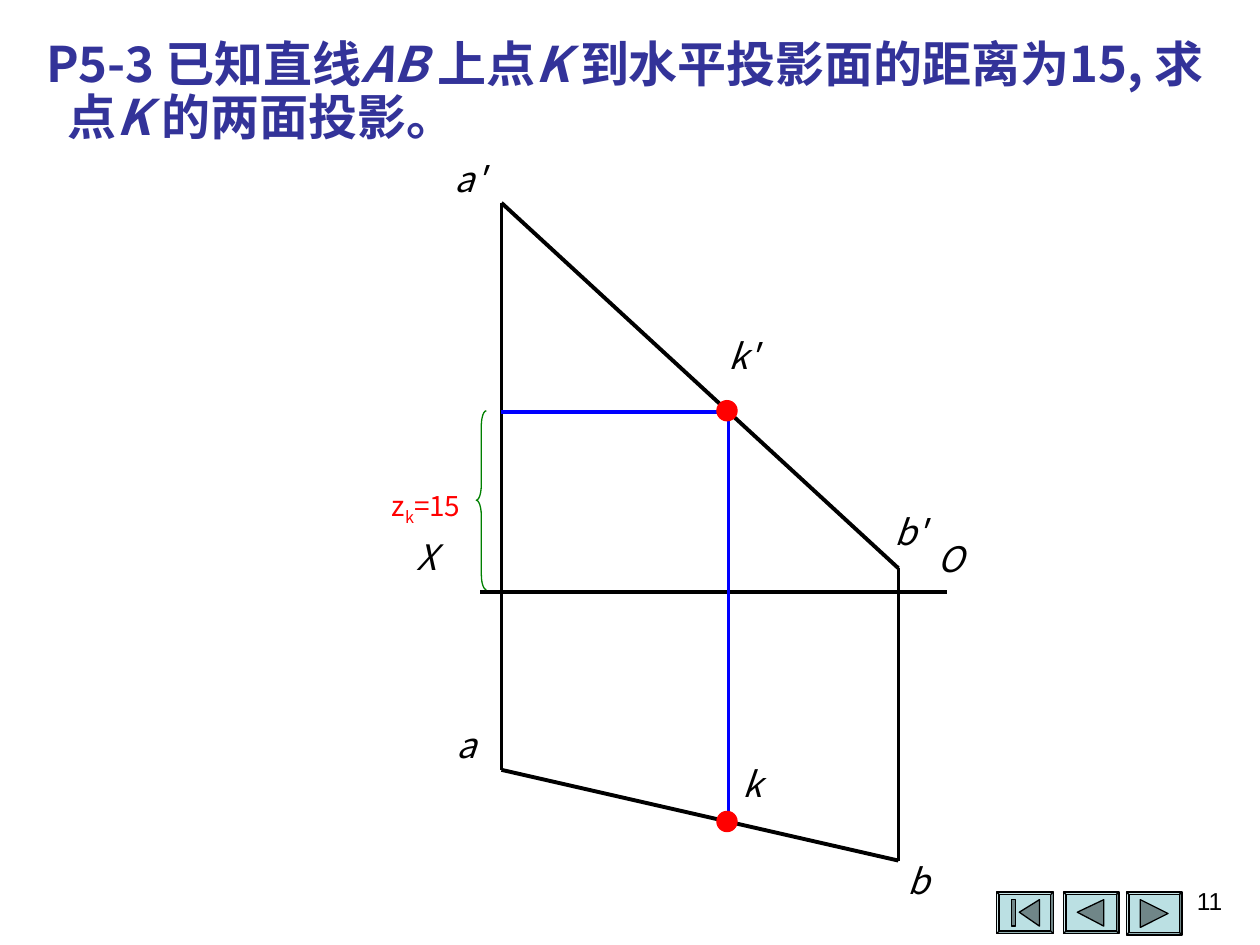
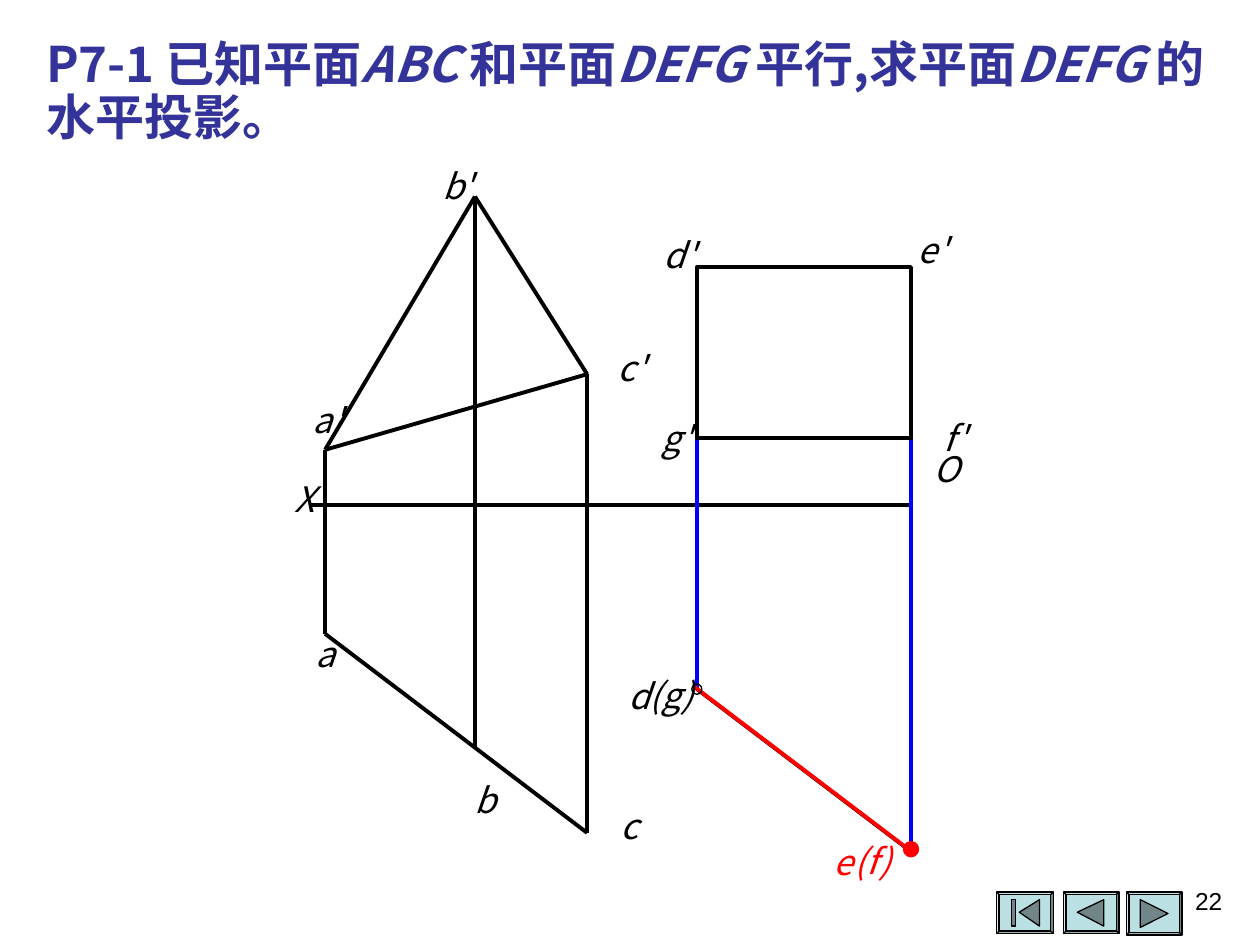
from dataclasses import dataclass

from lxml import etree
from pptx import Presentation
from pptx.dml.color import RGBColor
from pptx.enum.shapes import MSO_CONNECTOR, MSO_SHAPE as Shape
from pptx.enum.text import MSO_AUTO_SIZE as AutoSize, PP_ALIGN as Align
from pptx.oxml.ns import qn
from pptx.util import Inches, Pt

BLACK, RED, BLUE, GREEN = "000000", "FF0000", "0000FF", "008000"
TITLE_COLOR, BUTTON_FACE, BUTTON_ICON = "333399", "BBE0E3", "708688"
FONT, NUMBER_FONT = "Noto Sans CJK SC", "Arial"
HAIRLINE, BOLD_LINE = 0, 2.25
Point = tuple[float, float]


@dataclass(frozen=True)
class NavButton:
    """A navigation button and the outlines of its icon."""
    left: float
    width: float
    height: float
    icon: tuple[tuple[Point, ...], ...]


@dataclass(frozen=True)
class Segment:
    """A straight line of the drawing."""
    start: Point
    end: Point
    color: str = BLACK
    width: float = HAIRLINE


@dataclass(frozen=True)
class Label:
    """The letter of a projected point."""
    text: str
    left: float
    top: float
    width: float = 0.34
    color: str = BLACK


@dataclass(frozen=True)
class Dot:
    """A round mark on a projected point."""
    center: Point
    size: float
    color: str = RED
    filled: bool = True


@dataclass(frozen=True)
class Exercise:
    """One exercise: title, page number and drawing."""
    title: str
    page: str
    segments: tuple[Segment, ...]
    labels: tuple[Label, ...]
    dots: tuple[Dot, ...]
    label_align: Align
    title_hang: float = 0


BUTTONS = (
    NavButton(8.94, 0.44, 0.34, (((9.05, 7.14), (9.27, 7.25), (9.05, 7.36)),)),
    NavButton(8.44, 0.44, 0.33, (((8.55, 7.24), (8.76, 7.14), (8.76, 7.35)),)),
    NavButton(7.91, 0.45, 0.33, (
        ((8.09, 7.24), (8.25, 7.14), (8.25, 7.35)),
        ((8.03, 7.14), (8.06, 7.14), (8.06, 7.35), (8.03, 7.35)),
    )),
)


def rgb(color: str) -> RGBColor:
    """Turn a hex string into a colour."""
    return RGBColor.from_string(color)


def style(shape, fill: str | None, line: str, width: float) -> None:
    """Set fill and outline and remove the shadow."""
    shape.shadow.inherit = False
    if fill:
        shape.fill.solid()
        shape.fill.fore_color.rgb = rgb(fill)
    else:
        shape.fill.background()
    shape.line.color.rgb = rgb(line)
    shape.line.width = Pt(width)


def add_preset(slide, kind, left: float, top: float, width: float, height: float,
               fill: str | None = None, line: str = BLACK, line_width: float = 0.75):
    """Draw a preset shape."""
    shape = slide.shapes.add_shape(kind, Inches(left), Inches(top), Inches(width), Inches(height))
    style(shape, fill, line, line_width)
    return shape


def add_text(slide, text: str, left: float, top: float, width: float, height: float, *,
             size: float, color: str = BLACK, font: str = FONT, bold: bool = False,
             accent: str = "italic", align=Align.LEFT, wrap: bool = True, grow: bool = True,
             inset: Point = (0, 0), hang: float = 0, spacing: float = 0.9) -> None:
    """Add a text box; parts between asterisks take the accent format."""
    box = slide.shapes.add_textbox(Inches(left), Inches(top), Inches(width), Inches(height))
    frame = box.text_frame
    frame.word_wrap = wrap
    frame.auto_size = AutoSize.SHAPE_TO_FIT_TEXT if grow else AutoSize.NONE
    frame.margin_left = frame.margin_right = Inches(inset[0])
    frame.margin_top = frame.margin_bottom = Inches(inset[1])
    paragraph = frame.paragraphs[0]
    paragraph.alignment = align
    paragraph.line_spacing = spacing
    if hang:
        properties = paragraph._p.get_or_add_pPr()
        properties.set("marL", str(Inches(hang)))
        properties.set("indent", str(-Inches(hang)))
    for index, part in enumerate(text.split("*")):
        if not part:
            continue
        run = paragraph.add_run()
        run.text = part
        run.font.size, run.font.bold, run.font.name = Pt(size), bold, font
        run.font.color.rgb = rgb(color)
        properties = run._r.get_or_add_rPr()
        etree.SubElement(properties, qn("a:ea")).set("typeface", font)
        if index % 2 and accent == "subscript":
            properties.set("baseline", "-25000")
        elif index % 2:
            run.font.italic = True


def add_segment(slide, segment: Segment) -> None:
    """Draw a straight line without shadow."""
    ends = [Inches(value) for value in (*segment.start, *segment.end)]
    connector = slide.shapes.add_connector(MSO_CONNECTOR.STRAIGHT, *ends)
    connector.line.color.rgb = rgb(segment.color)
    connector.line.width = Pt(segment.width)
    etree.SubElement(connector._element.spPr, qn("a:effectLst"))


def add_dot(slide, dot: Dot) -> None:
    """Draw a round mark around its centre."""
    left, top = (value - dot.size / 2 for value in dot.center)
    add_preset(slide, Shape.OVAL, left, top, dot.size, dot.size,
               dot.color if dot.filled else None, dot.color, HAIRLINE)


def add_button(slide, button: NavButton) -> None:
    """Draw a bevelled button with its icon."""
    face = add_preset(slide, Shape.BEVEL, button.left, 7.08, button.width, button.height, BUTTON_FACE)
    face.adjustments[0] = 0.06
    for outline in button.icon:
        corners = [(Inches(x), Inches(y)) for x, y in outline]
        builder = slide.shapes.build_freeform(*corners[0])
        builder.add_line_segments(corners[1:], close=True)
        style(builder.convert_to_shape(), BUTTON_ICON, BLACK, 0.75)


def add_exercise(deck, exercise: Exercise):
    """Build the slide of one exercise."""
    slide = deck.slides.add_slide(deck.slide_layouts[6])
    for button in BUTTONS:
        add_button(slide, button)
    add_text(slide, exercise.title, 0.27, 0.27, 9.53, 1.04, size=28, color=TITLE_COLOR,
             bold=True, inset=(0.1, 0.05), hang=exercise.title_hang)
    for segment in exercise.segments:
        add_segment(slide, segment)
    for dot in exercise.dots:
        add_dot(slide, dot)
    for label in exercise.labels:
        add_text(slide, f"*{label.text}*", label.left, label.top, label.width, 0.33, size=20,
                 color=label.color, align=exercise.label_align, wrap=False)
    add_text(slide, exercise.page, 7.47, 6.98, 2.33, 0.52, size=14, font=NUMBER_FONT,
             align=Align.RIGHT, grow=False, inset=(0.1, 0.05), spacing=1)
    return slide


def point_on_line() -> Exercise:
    """Describe the line AB with its point K."""
    a_front, a_top = (3.98, 1.61), (3.98, 6.11)
    b_front, b_top = (7.13, 4.51), (7.13, 6.83)
    k_front, k_top = (5.78, 3.27), (5.78, 6.52)
    return Exercise(
        title="P5-3 已知直线*AB *上点*K *到水平投影面的距离为15, 求点*K *的两面投影。",
        page="11",
        segments=(
            Segment((3.81, 4.7), (7.52, 4.7)),
            Segment(a_front, a_top),
            Segment(b_front, b_top),
            Segment(a_front, b_front, width=BOLD_LINE),
            Segment(a_top, b_top, width=BOLD_LINE),
            Segment((3.98, 3.27), k_front, BLUE),
            Segment(k_front, k_top, BLUE),
        ),
        labels=(
            Label("a'", 3.61, 1.29), Label("a", 3.62, 5.78, 0.17),
            Label("b'", 7.1, 4.09), Label("b", 7.2, 6.86, 0.17),
            Label("k'", 5.78, 2.69), Label("k", 5.89, 6.09, 0.17),
            Label("X", 3.31, 4.29, 0.17), Label("O", 7.44, 4.3, 0.31),
        ),
        dots=(Dot((5.77, 3.26), 0.16), Dot((5.77, 6.52), 0.16)),
        label_align=Align.LEFT,
        title_hang=0.17,
    )


def parallel_planes() -> Exercise:
    """Describe the parallel planes ABC and DEFG."""
    a_front, b_front, c_front = (2.58, 3.57), (3.77, 1.56), (4.66, 2.97)
    a_top, b_top, c_top = (2.58, 5.03), (3.77, 5.93), (4.66, 6.61)
    g_front, f_front = (5.53, 3.48), (7.23, 3.48)
    dg_top, ef_top = (5.53, 5.47), (7.23, 6.76)
    triangle = (a_front, b_front, c_front)
    sides = zip(triangle, (b_front, c_front, a_front))
    projectors = zip(triangle, (a_top, b_top, c_top))
    return Exercise(
        title="P7-1 已知平面*ABC *和平面*DEFG *平行,求平面*DEFG *的水平投影。",
        page="22",
        segments=(
            Segment((2.45, 4.01), (7.23, 4.01)),
            *(Segment(start, end, width=BOLD_LINE) for start, end in sides),
            Segment(a_top, c_top, width=BOLD_LINE),
            *(Segment(front, top) for front, top in projectors),
            Segment(g_front, dg_top, BLUE),
            Segment(dg_top, ef_top),
            Segment(f_front, ef_top, BLUE),
            Segment((5.51, 5.45), (7.21, 6.74), RED, BOLD_LINE),
        ),
        labels=(
            Label("a'", 2.43, 3.2), Label("b'", 3.46, 1.34), Label("c'", 4.84, 2.79),
            Label("a", 2.5, 5.06, 0.17), Label("b", 3.77, 6.22, 0.17), Label("c", 4.91, 6.42, 0.17),
            Label("d'", 5.22, 1.89), Label("e'", 7.23, 1.85),
            Label("g'", 5.2, 3.34), Label("f'", 7.41, 3.34),
            Label("d", 4.99, 5.39, 0.17), Label("(g)", 5.08, 5.38, 0.5),
            Label("e", 6.61, 6.71, 0.17, RED), Label("(f)", 6.68, 6.7, 0.5, RED),
            Label("X", 2.33, 3.83, 0.17), Label("O", 7.36, 3.59, 0.31),
        ),
        dots=(Dot((5.53, 5.47), 0.08, BLACK, False), Dot((7.23, 6.74), 0.12)),
        label_align=Align.CENTER,
    )


def main() -> None:
    """Build both exercises and save them."""
    deck = Presentation()
    deck.slide_width, deck.slide_height = Inches(10), Inches(7.5)

    line_slide = add_exercise(deck, point_on_line())
    height_brace = add_preset(line_slide, Shape.LEFT_BRACE, 3.78, 3.26, 0.08, 1.42, line=GREEN)
    height_brace.adjustments[0] = 1.5
    add_text(line_slide, "z*k*=15", 3.11, 3.88, 0.79, 0.3, size=16, color=RED, accent="subscript")

    plane_slide = add_exercise(deck, parallel_planes())
    add_preset(plane_slide, Shape.RECTANGLE, 5.53, 2.12, 1.7, 1.36, line_width=BOLD_LINE)

    deck.save("out.pptx")


if __name__ == "__main__":
    main()
